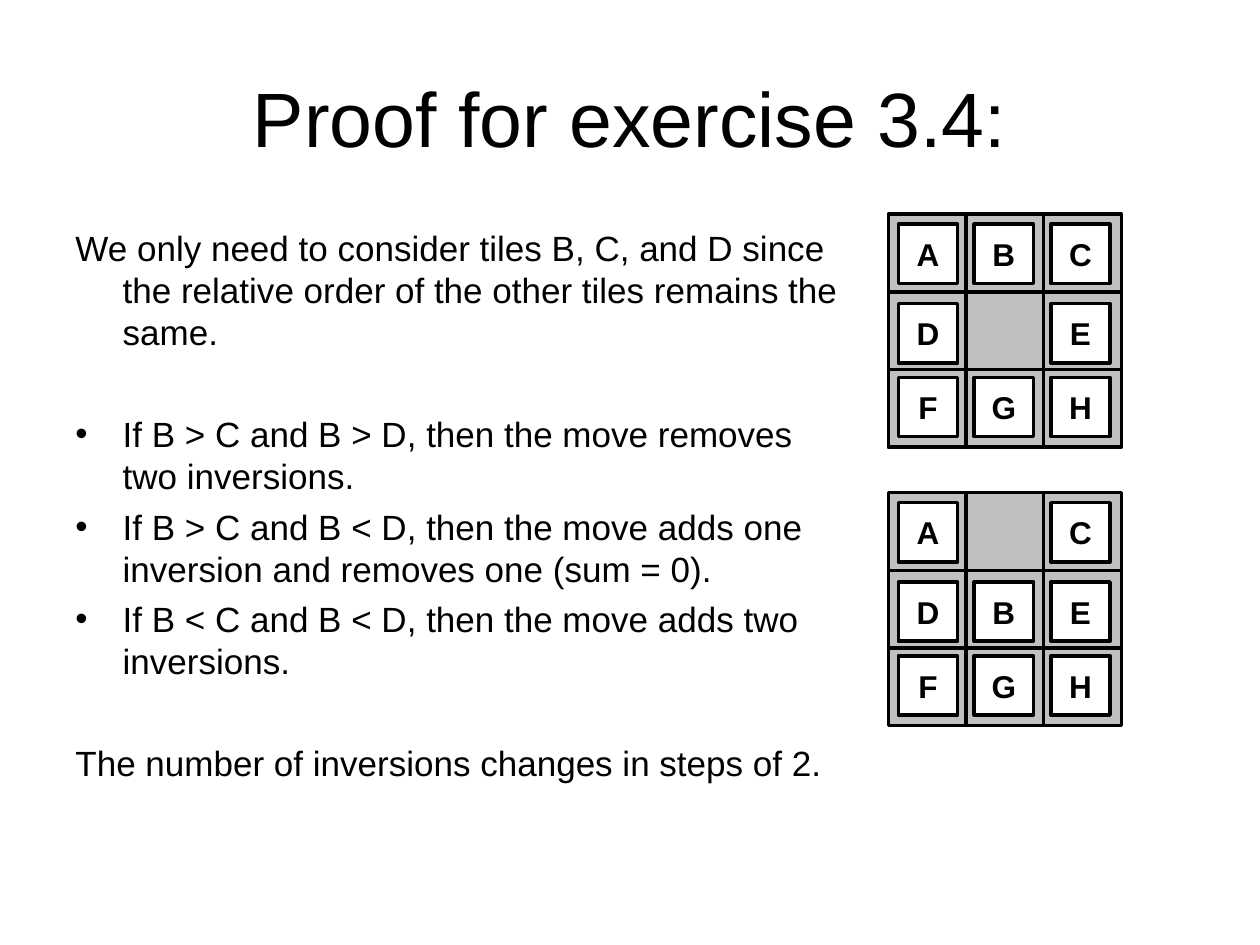
from dataclasses import dataclass

from lxml.etree import SubElement
from pptx import Presentation
from pptx.dml.color import RGBColor
from pptx.enum.shapes import MSO_CONNECTOR as Connector
from pptx.enum.shapes import MSO_SHAPE as Preset
from pptx.enum.text import MSO_ANCHOR as Anchor
from pptx.enum.text import PP_ALIGN as Align
from pptx.oxml.ns import qn
from pptx.shapes.autoshape import Shape
from pptx.slide import Slide
from pptx.text.text import _Paragraph as Paragraph
from pptx.util import Pt

BLACK = RGBColor(0x00, 0x00, 0x00)
WHITE = RGBColor(0xFF, 0xFF, 0xFF)
SILVER = RGBColor(0xC0, 0xC0, 0xC0)
FONT = "Arial"

BOARD_LEFT = 507.6
BOARD_SIZE = 133.2
CELL = BOARD_SIZE / 3
TILE = 33.84
COLUMN_OFFSETS = (5.76, 49.1, 92.88)
ROW_OFFSETS = (5.76, 51.1, 93.3)
LINE_WIDTH = 2
INDENT = 27


@dataclass(frozen=True)
class Board:
    top: float
    rows: tuple[str, str, str]


@dataclass(frozen=True)
class Statement:
    text: str
    space_before: float = 5
    bullet: bool = False


BOARDS = (
    Board(122.4, ("ABC", "D E", "FGH")),
    Board(281.5, ("A C", "DBE", "FGH")),
)

STATEMENTS = (
    Statement(
        "We only need to consider tiles B, C, and D since the relative order "
        "of the other tiles remains the same.",
        space_before=0,
    ),
    Statement(
        "If B > C and B > D, then the move removes two inversions.",
        space_before=34,
        bullet=True,
    ),
    Statement(
        "If B > C and B < D, then the move adds one inversion "
        "and removes one (sum = 0).",
        bullet=True,
    ),
    Statement(
        "If B < C and B < D, then the move adds two inversions.", bullet=True
    ),
    Statement("The number of inversions changes in steps of 2.", space_before=34),
)


def set_font(para: Paragraph, size: float, bold: bool = False) -> None:
    para.font.name = FONT
    para.font.size = Pt(size)
    para.font.bold = bold
    para.font.color.rgb = BLACK


def add_title(page: Slide, text: str) -> None:
    box = page.shapes.add_textbox(Pt(36), Pt(21.6), Pt(648), Pt(90))
    frame = box.text_frame
    frame.word_wrap = True
    frame.vertical_anchor = Anchor.MIDDLE
    para = frame.paragraphs[0]
    para.text = text
    para.alignment = Align.CENTER
    set_font(para, 44)


def add_bullet(para: Paragraph) -> None:
    properties = para._p.get_or_add_pPr()
    color = SubElement(properties, qn("a:buClr"))
    SubElement(color, qn("a:srgbClr"), val=str(BLACK))
    SubElement(properties, qn("a:buFont"), typeface=FONT)
    SubElement(properties, qn("a:buChar"), char="•")


def add_statements(page: Slide, statements: tuple[Statement, ...]) -> None:
    box = page.shapes.add_textbox(Pt(36), Pt(126), Pt(454.3), Pt(356.4))
    frame = box.text_frame
    frame.word_wrap = True
    for index, statement in enumerate(statements):
        para = frame.add_paragraph() if index else frame.paragraphs[0]
        para.text = statement.text
        properties = para._p.get_or_add_pPr()
        properties.set("marL", str(Pt(INDENT)))
        properties.set("indent", str(Pt(-INDENT)))
        if statement.bullet:
            add_bullet(para)
        para.line_spacing = Pt(24)
        para.space_before = Pt(statement.space_before)
        set_font(para, 20)


def add_square(
    page: Slide, left: float, top: float, size: float, color: RGBColor
) -> Shape:
    square = page.shapes.add_shape(
        Preset.RECTANGLE, Pt(left), Pt(top), Pt(size), Pt(size)
    )
    square.shadow.inherit = False
    square.fill.solid()
    square.fill.fore_color.rgb = color
    square.line.color.rgb = BLACK
    square.line.width = Pt(LINE_WIDTH)
    return square


def add_line(page: Slide, x1: float, y1: float, x2: float, y2: float) -> None:
    line = page.shapes.add_connector(
        Connector.STRAIGHT, Pt(x1), Pt(y1), Pt(x2), Pt(y2)
    )
    line.line.color.rgb = BLACK
    line.line.width = Pt(LINE_WIDTH)
    SubElement(line._element.spPr, qn("a:effectLst"))


def add_tile(page: Slide, left: float, top: float, letter: str) -> None:
    frame = add_square(page, left, top, TILE, WHITE).text_frame
    frame.word_wrap = False
    frame.vertical_anchor = Anchor.MIDDLE
    para = frame.paragraphs[0]
    para.text = letter
    para.alignment = Align.CENTER
    set_font(para, 18, bold=True)


def add_board(page: Slide, board: Board) -> None:
    right, bottom = BOARD_LEFT + BOARD_SIZE, board.top + BOARD_SIZE
    add_square(page, BOARD_LEFT, board.top, BOARD_SIZE, SILVER)
    for step in (1, 2):
        x = BOARD_LEFT + step * CELL
        add_line(page, x, board.top, x, bottom)
    for step in (1, 2):
        y = board.top + step * CELL
        add_line(page, BOARD_LEFT, y, right, y)
    for row, row_offset in zip(board.rows, ROW_OFFSETS):
        for letter, column_offset in zip(row, COLUMN_OFFSETS):
            if letter != " ":
                add_tile(
                    page, BOARD_LEFT + column_offset, board.top + row_offset, letter
                )


def main() -> None:
    deck = Presentation()
    deck.slide_width, deck.slide_height = Pt(720), Pt(540)
    page = deck.slides.add_slide(deck.slide_layouts[6])
    add_title(page, "Proof for exercise 3.4:")
    add_statements(page, STATEMENTS)
    for board in BOARDS:
        add_board(page, board)
    deck.save("out.pptx")


if __name__ == "__main__":
    main()
